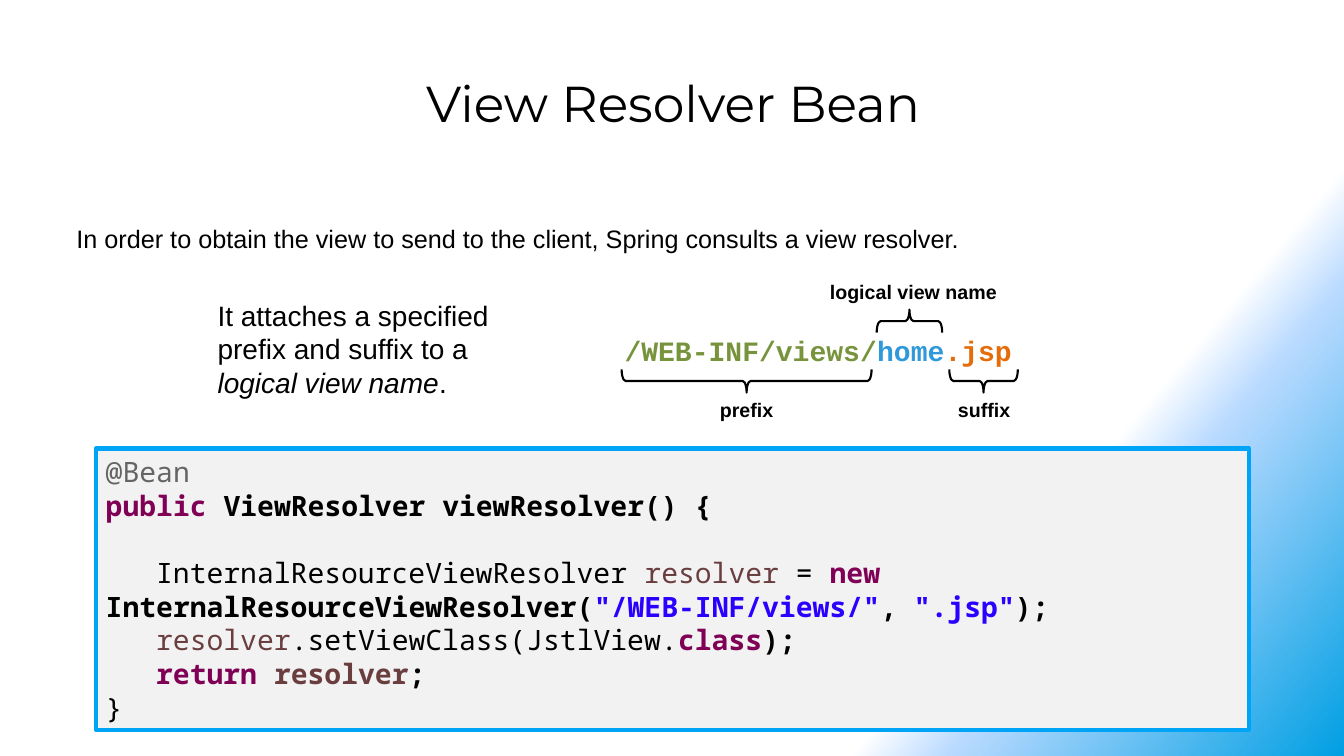
"""Build the View Resolver Bean slide."""
from copy import deepcopy
from dataclasses import dataclass

from pptx import Presentation
from pptx.dml.color import RGBColor
from pptx.enum.shapes import MSO_SHAPE
from pptx.enum.text import MSO_ANCHOR, PP_ALIGN
from pptx.oxml.ns import qn
from pptx.util import Inches, Pt

LEFT, CENTER = PP_ALIGN.LEFT, PP_ALIGN.CENTER
TOP, MIDDLE = MSO_ANCHOR.TOP, MSO_ANCHOR.MIDDLE
RECTANGLE, BRACE = MSO_SHAPE.RECTANGLE, MSO_SHAPE.RIGHT_BRACE
SLIDE_W, SLIDE_H = Inches(13.33), Inches(7.5)
DOWN, UP = 90, 270


@dataclass(frozen=True)
class Theme:
    black: str = "000000"
    panel: str = "F2F2F2"
    border: str = "00A4F6"
    prefix: str = "77933C"
    view: str = "3099D9"
    suffix: str = "E46C0A"
    annotation: str = "646464"
    keyword: str = "7F0055"
    variable: str = "6A3E3E"
    string: str = "2A00FF"
    sweep: tuple = ((0.75, "FFFFFF"), (0.8, "B9DAFF"), (1.0, "009FE3"))
    title_size: int = 36
    body_size: int = 18
    large_size: int = 20
    label_size: int = 14
    sans: str = "Arial"
    display: str = "Montserrat"
    path_font: str = "Courier New"
    code_font: str = "Noto Sans Mono"


THEME = Theme()


@dataclass(frozen=True)
class Box:
    """Frame in percent of the slide's width and height."""
    left: float
    top: float
    width: float
    height: float

    def emu(self) -> tuple[int, int, int, int]:
        """Return the frame in slide units."""
        return (int(SLIDE_W * self.left / 100), int(SLIDE_H * self.top / 100),
                int(SLIDE_W * self.width / 100), int(SLIDE_H * self.height / 100))


@dataclass(frozen=True)
class Span:
    text: str
    color: str = THEME.black
    bold: bool = False
    italic: bool = False


@dataclass(frozen=True)
class TextBlock:
    box: Box
    spans: tuple[Span, ...]
    font: str
    size: int
    align: PP_ALIGN = LEFT


@dataclass(frozen=True)
class PathPart:
    """Brace and label for one part of the view path, in percent."""
    name: str
    brace_x: float
    brace_y: float
    span: float
    rotation: int
    label_x: float
    label_y: float


@dataclass(frozen=True)
class CodeLine:
    spans: tuple[Span, ...]
    indented: bool = False
    gap_before: int = 0


BLOCKS = (
    TextBlock(Box(4.95, 8.93, 90.25, 16.27), (Span("View Resolver Bean"),),
              THEME.display, THEME.title_size, CENTER),
    TextBlock(Box(4.95, 28.93, 90.25, 6),
              (Span("In order to obtain the view to send to the client, "
                    "Spring consults a view resolver."),),
              THEME.sans, THEME.body_size),
    TextBlock(Box(15.45, 38.8, 22.5, 16.67),
              (Span("It attaches a specified prefix and suffix to a "),
               Span("logical view name", italic=True), Span(".")),
              THEME.sans, THEME.large_size),
    TextBlock(Box(36.91, 43.47, 47.94, 7.07),
              (Span("/WEB-INF/views/", THEME.prefix, True),
               Span("home", THEME.view, True), Span(".jsp", THEME.suffix, True)),
              THEME.path_font, THEME.large_size, CENTER),
)
PARTS = (
    PathPart("prefix", 55.55, 50.4, 18.6, DOWN, 55.55, 52),
    PathPart("logical view name", 67.67, 42.47, 4.88, UP, 67.96, 36.4),
    PathPart("suffix", 73.18, 50.4, 5.1, DOWN, 73.22, 52),
)
CODE_BOX = Box(7.13, 59.33, 85.82, 37.2)
CODE_PITCH = 24
CODE = (
    CodeLine((Span("@Bean", THEME.annotation),)),
    CodeLine((Span("public ", THEME.keyword, True),
              Span("ViewResolver viewResolver() {", bold=True))),
    CodeLine((Span("InternalResourceViewResolver "), Span("resolver", THEME.variable),
              Span(" = "), Span("new", THEME.keyword, True)), True, CODE_PITCH),
    CodeLine((Span("InternalResourceViewResolver(", bold=True),
              Span('"/WEB-INF/views/"', THEME.string, True), Span(", ", bold=True),
              Span('".jsp"', THEME.string, True), Span(");", bold=True))),
    CodeLine((Span("resolver", THEME.variable), Span(".setViewClass(JstlView."),
              Span("class", THEME.keyword, True), Span(");", bold=True)), True),
    CodeLine((Span("return ", THEME.keyword, True),
              Span("resolver", THEME.variable, True), Span(";", bold=True)), True),
    CodeLine((Span("}"),)),
)


def write(p, spans: tuple[Span, ...], font: str, size: int, align: PP_ALIGN) -> None:
    """Fill a paragraph with styled runs."""
    p.alignment = align
    p.font.name, p.font.size = font, Pt(size)
    for span in spans:
        r = p.add_run()
        r.text = span.text
        r.font.color.rgb = RGBColor.from_string(span.color)
        r.font.bold, r.font.italic = span.bold, span.italic


def add_text(s, block: TextBlock) -> None:
    """Add one wrapped text box."""
    tf = s.shapes.add_textbox(*block.box.emu()).text_frame
    tf.word_wrap, tf.vertical_anchor = True, TOP
    write(tf.paragraphs[0], block.spans, block.font, block.size, block.align)


def add_part(s, part: PathPart) -> None:
    """Add a brace and its label."""
    depth, length = Inches(0.23), int(SLIDE_W * part.span / 100)
    x, y = int(SLIDE_W * part.brace_x / 100), int(SLIDE_H * part.brace_y / 100)
    sp = s.shapes.add_shape(BRACE, x - depth // 2, y - length // 2, depth, length)
    sp.rotation = part.rotation
    sp.adjustments[0], sp.adjustments[1] = 0.17, 0.5
    sp.shadow.inherit = False
    sp.fill.background()
    sp.line.color.rgb = RGBColor.from_string(THEME.black)
    sp.line.width = Pt(1.5)
    width = 22
    add_text(s, TextBlock(Box(part.label_x - width / 2, part.label_y, width, 4.27),
                          (Span(part.name, bold=True),),
                          THEME.sans, THEME.label_size, CENTER))


def add_code(s) -> None:
    """Add the code panel."""
    sp = s.shapes.add_shape(RECTANGLE, *CODE_BOX.emu())
    sp.shadow.inherit = False
    sp.fill.solid()
    sp.fill.fore_color.rgb = RGBColor.from_string(THEME.panel)
    sp.line.color.rgb = RGBColor.from_string(THEME.border)
    sp.line.width = Pt(3)
    tf = sp.text_frame
    tf.word_wrap, tf.vertical_anchor = True, MIDDLE
    for i, line in enumerate(CODE):
        p = tf.add_paragraph() if i else tf.paragraphs[0]
        write(p, line.spans, THEME.code_font, THEME.large_size, LEFT)
        p.line_spacing, p.space_before = Pt(CODE_PITCH), Pt(line.gap_before)
        if line.indented:
            p._p.get_or_add_pPr().set("indent", str(Inches(0.5)))


def paint_background(s) -> None:
    """Paint the diagonal blue sweep."""
    fill = s.background.fill
    fill.gradient()
    fill.gradient_angle = 320
    stops = s.element.find(".//" + qn("a:gsLst"))
    stops.insert(1, deepcopy(stops[0]))
    for stop, (position, color) in zip(fill.gradient_stops, THEME.sweep):
        stop.position = position
        stop.color.rgb = RGBColor.from_string(color)


def main() -> None:
    """Build and save the slide."""
    prs = Presentation()
    prs.slide_width, prs.slide_height = SLIDE_W, SLIDE_H
    s = prs.slides.add_slide(prs.slide_layouts[6])
    paint_background(s)
    for block in BLOCKS:
        add_text(s, block)
    for part in PARTS:
        add_part(s, part)
    add_code(s)
    prs.save("out.pptx")


if __name__ == "__main__":
    main()
